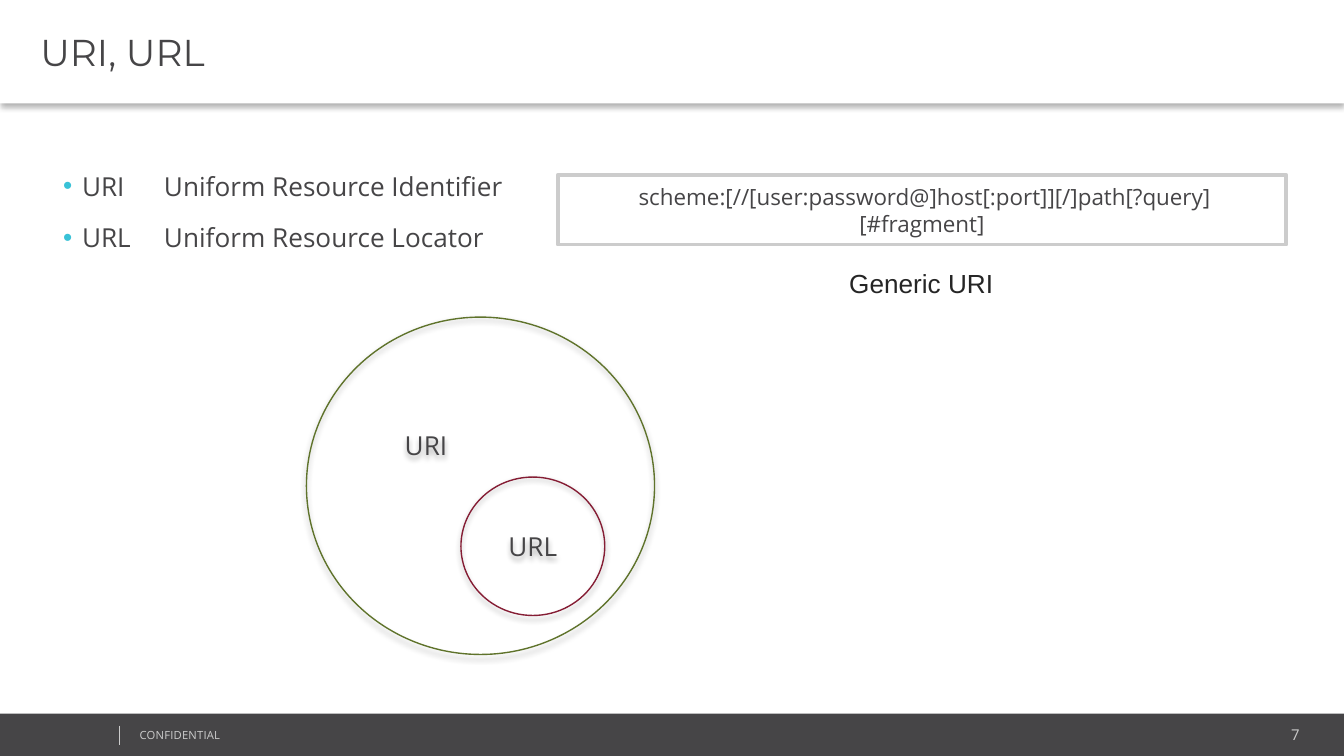
import pptx
import pptx.util
import pptx.dml.color
import pptx.enum.shapes
import pptx.enum.text
import pptx.oxml
import pptx.oxml.ns

Inch, Pt = pptx.util.Inches, pptx.util.Pt
KIND = pptx.enum.shapes.MSO_SHAPE
ALIGN = pptx.enum.text.PP_ALIGN
ANCHOR = pptx.enum.text.MSO_ANCHOR
NS = pptx.oxml.ns.nsdecls("a")

WIDE = 10
HIGH = WIDE * 9 / 16
DARK, PALE, WHITE = "464547", "CCCCCC", "FFFFFF"
SLIM = (0.08, 0.04, 0.08, 0.04)
EVEN = (0.1, 0.05, 0.1, 0.05)

TITLE = "URI, URL"
TERMS = ["URI \tUniform Resource Identifier", "URL\tUniform Resource Locator"]
SYNTAX = " scheme:[//[user:password@]host[:port]][/]path[?query][#fragment]"
# box, outline, label
RINGS = [((2.28, 2.36, 2.59, 2.51), "5F732B", ""),
         ((3.43, 3.55, 1.07, 1.03), "851D34", "URL")]
# box, text, size, font, colour, alignment, insets, wrap
NOTES = [
    ((8.12, 5.36, 1.63, 0.21), "7", 8, "Open Sans", PALE, ALIGN.RIGHT, SLIM, True),
    ((0.96, 5.38, 2.53, 0.18), "CONFIDENTIAL", 6, "Open Sans", PALE, ALIGN.LEFT, SLIM, True),
    ((6.22, 1.94, 1.33, 0.34), "Generic URI\u00a0", 14, "Arial", "252525", ALIGN.LEFT, EVEN, False),
]


def tint(code):
    """Turn a hex string into a colour."""
    return pptx.dml.color.RGBColor.from_string(code)


def place(box):
    """Turn a box in inches into lengths."""
    return [Inch(side) for side in box]


def paint(shape, fill=None, line=None, width=0.75):
    """Set fill and outline, and drop the theme's shadow."""
    shape.shadow.inherit = False
    if fill:
        shape.fill.solid()
        shape.fill.fore_color.rgb = tint(fill)
    else:
        shape.fill.background()
    if line:
        shape.line.color.rgb = tint(line)
        shape.line.width = Pt(width)
    else:
        shape.line.fill.background()


def shade(shape, alpha, dist):
    """Cast a soft black shadow straight down."""
    shape._element.spPr.find(pptx.oxml.ns.qn("a:effectLst")).append(pptx.oxml.parse_xml(
        f'<a:outerShdw {NS} blurRad="{Pt(3.1)}" dist="{Pt(dist)}" dir="5400000" '
        f'algn="t" rotWithShape="0"><a:srgbClr val="000000">'
        f'<a:alpha val="{alpha * 1000}"/></a:srgbClr></a:outerShdw>'))


def write(shape, text, size, font="Open Sans", color=DARK, align=ALIGN.CENTER,
          inset=EVEN, anchor=ANCHOR.MIDDLE, wrap=True):
    """Fill a shape with formatted text and return its paragraphs."""
    frame = shape.text_frame
    frame.text = text
    frame.word_wrap = wrap
    frame.auto_size = pptx.enum.text.MSO_AUTO_SIZE.NONE
    frame.vertical_anchor = anchor
    (frame.margin_left, frame.margin_top,
     frame.margin_right, frame.margin_bottom) = place(inset)
    for para in frame.paragraphs:
        para.alignment = align
        for run in para.runs:
            run.font.size, run.font.name = Pt(size), font
            run.font.color.rgb = tint(color)
    return frame.paragraphs


def dot(para):
    """Give a paragraph a coloured bullet, a hanging indent and a tab stop."""
    props = para._p.get_or_add_pPr()
    props.set("marL", str(Inch(0.14)))
    props.set("indent", str(-Inch(0.14)))
    for part in ('<a:buClr {}><a:srgbClr val="39C2D7"/></a:buClr>',
                 '<a:buFont {} typeface="Arial"/>',
                 '<a:buChar {} char="\u2022"/>',
                 f'<a:tabLst {{}}><a:tab pos="{Inch(0.75)}" algn="l"/></a:tabLst>'):
        props.append(pptx.oxml.parse_xml(part.format(NS)))


deck = pptx.Presentation()
deck.slide_width, deck.slide_height = Inch(WIDE), Inch(HIGH)
slide = deck.slides.add_slide(deck.slide_layouts[5])
shapes = slide.shapes

title = shapes.title
title.left, title.top, title.width, title.height = place((0, 0, WIDE, 0.77))
paint(title, WHITE)
shade(title, 30, 2)
head = write(title, TITLE, 20, "Montserrat", align=ALIGN.LEFT, inset=(0.3, 0.04, 0.08, 0.04))
head[0].space_before = Pt(4)

foot = shapes.add_shape(KIND.RECTANGLE, *place((0, 5.31, WIDE, HIGH - 5.31)))
paint(foot, DARK)
rule = shapes.add_connector(pptx.enum.shapes.MSO_CONNECTOR.STRAIGHT,
                            *place((0.89, 5.4, 0.89, 5.54)))
rule.line.color.rgb, rule.line.width = tint(PALE), Pt(0.25)
rule._element.spPr.append(pptx.oxml.parse_xml(f"<a:effectLst {NS}/>"))

body = shapes.add_textbox(*place((0.39, 1.18, 9.12, 3.7)))
for para in write(body, "\n".join(TERMS), 14, align=ALIGN.LEFT, inset=SLIM, anchor=ANCHOR.TOP):
    para.line_spacing, para.space_after = 1.2, Pt(7.5)
    dot(para)

frame = shapes.add_shape(KIND.RECTANGLE, *place((4.15, 1.3, 5.42, 0.52)))
paint(frame, WHITE, PALE, 2)
write(frame, SYNTAX, 12)

for box, text, size, font, color, align, inset, wrap in NOTES:
    note = shapes.add_textbox(*place(box))
    paras = write(note, text, size, font, color, align, inset, ANCHOR.TOP, wrap)
    if text.isupper():
        paras[0].runs[0].font._element.set("spc", "10")

for box, line, label in RINGS:
    ring = shapes.add_shape(KIND.OVAL, *place(box))
    paint(ring, line=line)
    shade(ring, 35, 1.8)
    if label:
        write(ring, label, 14)

outer = shapes.add_textbox(*place((2.77, 3.07, 0.8, 0.48)))
paint(outer)
shade(outer, 35, 1.8)
write(outer, "URI", 14)

deck.save("out.pptx")
